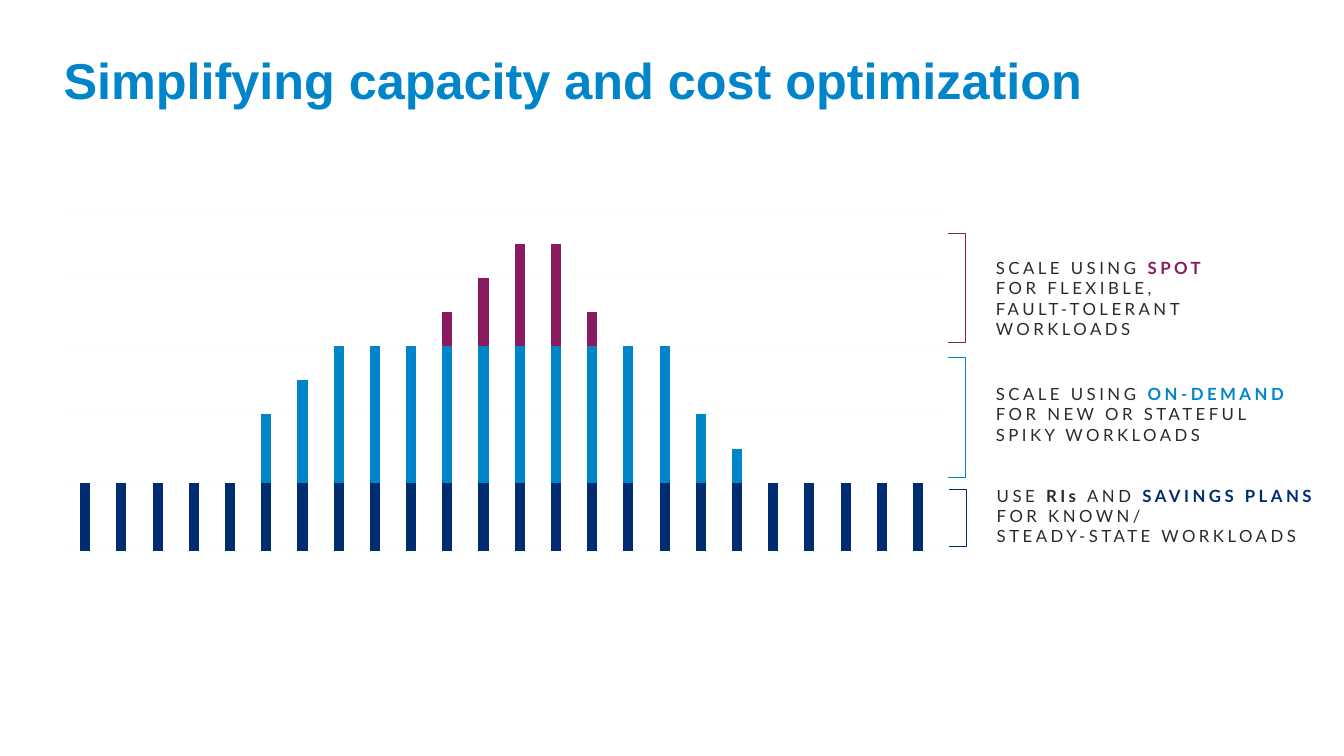
from lxml.etree import SubElement
from pptx import Presentation
from pptx.chart.data import CategoryChartData
from pptx.dml.color import RGBColor
from pptx.enum.chart import XL_CHART_TYPE as ChartType
from pptx.enum.shapes import MSO_SHAPE as Shape
from pptx.enum.text import MSO_ANCHOR as Anchor, MSO_AUTO_SIZE as AutoSize, PP_ALIGN as Align
from pptx.oxml import parse_xml
from pptx.oxml.ns import nsdecls, qn
from pptx.util import Pt

COLORS = {
    "reserved": "002D72",
    "on_demand": "0085CA",
    "spot": "8A1B61",
    "text": "2C2A29",
    "grid": "E0DFDE",
}
CAPACITY = {
    "reserved": [50] * 24,
    "on_demand": [0] * 5 + [50, 75] + [100] * 10 + [50, 25] + [0] * 5,
    "spot": [0] * 10 + [25, 50, 75, 75, 25] + [0] * 9,
}
PLOT_LAYOUT = {"x": 0.004, "y": 0.058, "w": 0.982, "h": 0.881}
TIERS = [
    ("spot", (677.5, 167, 254.2, 77.8), 13.7, 65.5, [
        ("SCALE USING ", "text", False),
        ("SPOT", "spot", True),
        ("\n", "text", False),
        ("FOR FLEXIBLE,\nFAULT-TOLERANT WORKLOADS", "text", False),
    ]),
    ("on_demand", (677.5, 255.6, 259.3, 85.7), 15.1, 51.1, [
        ("SCALE USING ", "text", False),
        ("ON-DEMAND", "on_demand", True),
        (" FOR NEW OR STATEFUL SPIKY WORKLOADS", "text", False),
    ]),
    ("reserved", (678.2, 349.9, 273.6, 40.3), -6.5, 51.1, [
        ("USE ", "text", False),
        ("RIs ", "text", True),
        ("AND ", "text", False),
        ("SAVINGS PLANS ", "reserved", True),
        ("FOR KNOWN/\nSTEADY-STATE WORKLOADS", "text", False),
    ]),
]


def color(name):
    """Return the named palette colour."""
    return RGBColor.from_string(COLORS[name])


def apply(target, values):
    """Set every attribute of a target from a dict."""
    for name, value in values.items():
        setattr(target, name, value)


def points(*lengths):
    """Convert numbers to lengths in points."""
    return [Pt(length) for length in lengths]


def place_title(slide, box, text):
    """Move, fill and format the title placeholder."""
    title = slide.shapes.title
    apply(title, dict(zip(("left", "top", "width", "height"), points(*box))))
    frame = title.text_frame
    apply(frame, {"text": text, "margin_left": 0, "vertical_anchor": Anchor.BOTTOM,
                  "word_wrap": True, "auto_size": AutoSize.NONE})
    paragraph = frame.paragraphs[0]
    paragraph.alignment = Align.LEFT
    apply(paragraph.font, {"name": "Arial", "size": Pt(36), "bold": True})
    paragraph.font.color.rgb = color("on_demand")


def place_chart(slide, box):
    """Draw the stacked capacity columns."""
    data = CategoryChartData()
    data.categories = [str(hour) for hour in range(1, 25)]
    for number, values in enumerate(CAPACITY.values(), 1):
        data.add_series(f"Series {number}", values)
    chart = slide.shapes.add_chart(ChartType.COLUMN_STACKED, *points(*box), data).chart
    apply(chart, {"has_legend": False, "has_title": False})
    apply(chart.font, {"name": "Arial", "size": Pt(10)})
    chart.font.color.rgb = color("text")
    plot = chart.plots[0]
    apply(plot, {"gap_width": 258, "overlap": 100, "vary_by_categories": False})
    for series, name in zip(plot.series, CAPACITY):
        series.format.fill.solid()
        series.format.fill.fore_color.rgb = color(name)
    chart.category_axis.visible = False
    apply(chart.value_axis, {"visible": False, "minimum_scale": 0, "maximum_scale": 250,
                             "major_unit": 50, "has_major_gridlines": True})
    grid_line = chart.value_axis.major_gridlines.format.line
    grid_line.width = Pt(0.5)
    grid_line.color.rgb = color("grid")
    grid_color = chart.value_axis._element.find(".//" + qn("a:srgbClr"))
    SubElement(grid_color, qn("a:alpha"), val="10000")
    plot_area = chart._chartSpace.chart.plotArea
    for layout in plot_area.findall(qn("c:layout")):
        plot_area.remove(layout)
    modes = '<c:layoutTarget val="inner"/><c:xMode val="edge"/><c:yMode val="edge"/>'
    sizes = "".join(f'<c:{key} val="{value}"/>' for key, value in PLOT_LAYOUT.items())
    plot_area.insert(0, parse_xml(
        f'<c:layout {nsdecls("c")}><c:manualLayout>{modes}{sizes}</c:manualLayout></c:layout>'))


def add_runs(paragraph, runs):
    """Add letter-spaced runs, turning newlines into line breaks."""
    for text, color_name, bold in runs:
        for number, line in enumerate(text.split("\n")):
            if number:
                paragraph.add_line_break()
            if line:
                run = paragraph.add_run()
                run.text = line
                apply(run.font, {"name": "Lato", "size": Pt(12), "bold": bold})
                run.font.color.rgb = color(color_name)
                run._r.get_or_add_rPr().set("spc", "250")


def place_tier(slide, box, color_name, label_drop, label_height, runs):
    """Draw a bracket at the left of the box and its label beside it."""
    left, top, width, height = box
    bracket = slide.shapes.add_shape(Shape.RIGHT_BRACKET, *points(left, top, 12.2, height))
    bracket.adjustments[0] = 0
    bracket.shadow.inherit = False
    bracket.fill.background()
    bracket.line.width = Pt(0.75)
    bracket.line.color.rgb = color(color_name)
    indent = 26.7
    label = slide.shapes.add_textbox(
        *points(left + indent, top + label_drop, width - indent, label_height))
    apply(label.text_frame, {"word_wrap": True, "auto_size": AutoSize.SHAPE_TO_FIT_TEXT})
    paragraph = label.text_frame.paragraphs[0]
    paragraph.space_after = Pt(16)
    add_runs(paragraph, runs)


def main():
    """Build and save the presentation."""
    presentation = Presentation()
    apply(presentation, {"slide_width": Pt(960), "slide_height": Pt(540)})
    slide = presentation.slides.add_slide(presentation.slide_layouts[5])
    place_title(slide, (45.4, 39.6, 864, 42.5), "Simplifying capacity and cost optimization")
    place_chart(slide, (45.4, 133.9, 632.2, 276.5))
    for color_name, box, label_drop, label_height, runs in TIERS:
        place_tier(slide, box, color_name, label_drop, label_height, runs)
    presentation.save("out.pptx")


if __name__ == "__main__":
    main()
